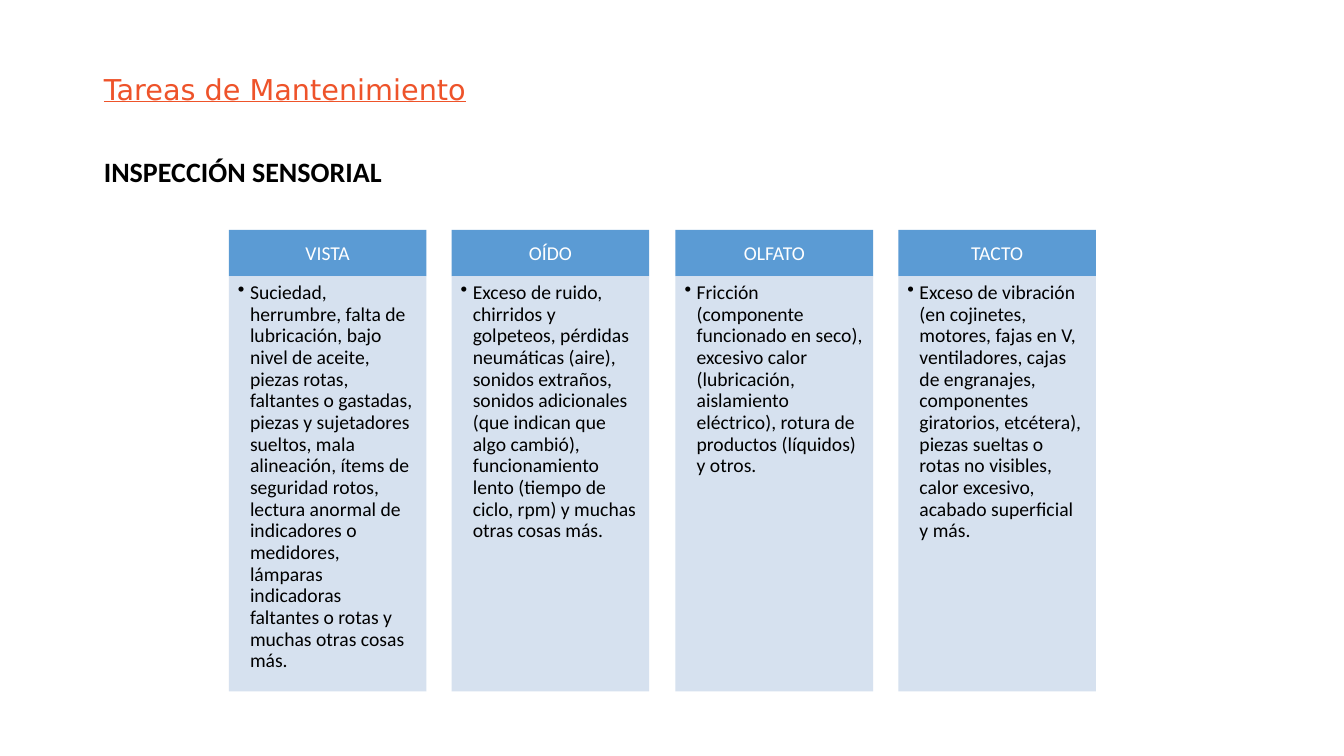
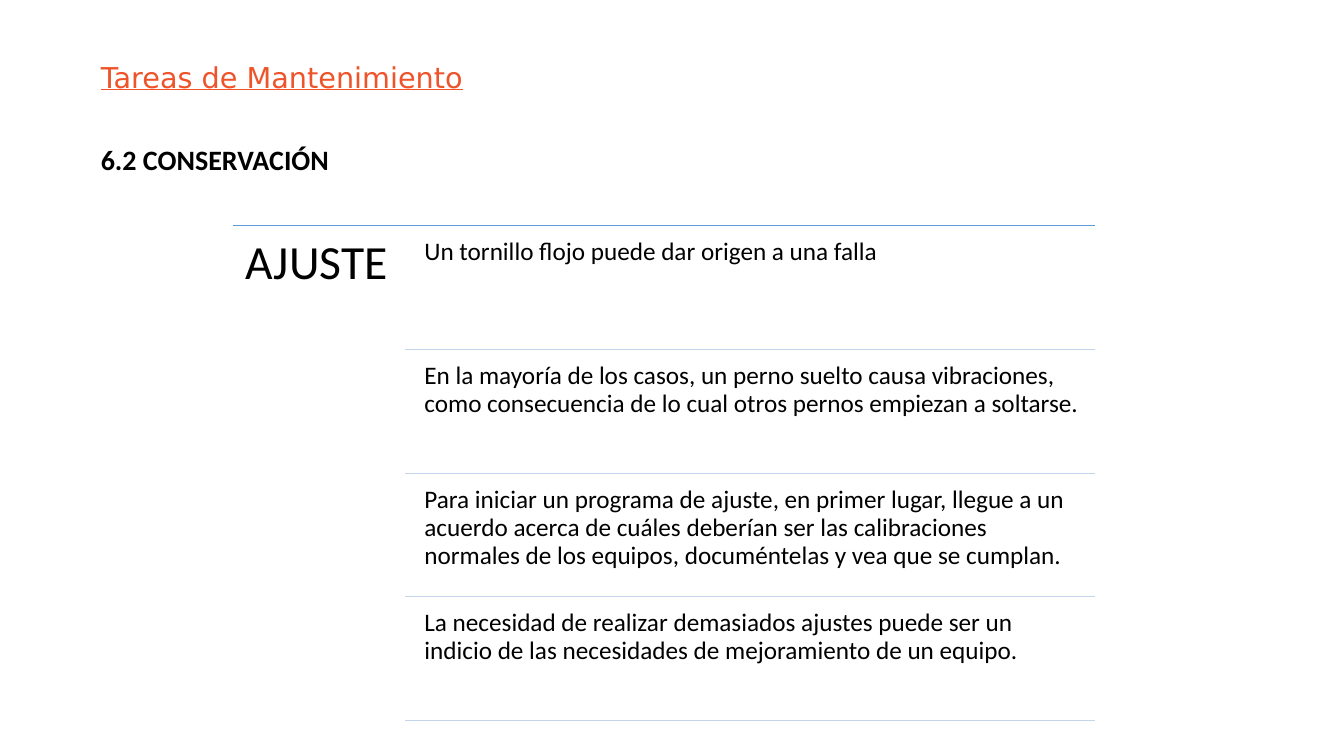
from pptx import Presentation
from pptx.dml.color import RGBColor
from pptx.enum.shapes import MSO_CONNECTOR, MSO_SHAPE
from pptx.enum.text import MSO_ANCHOR, MSO_AUTO_SIZE, PP_ALIGN
from pptx.oxml.ns import qn
from pptx.util import Pt
from lxml import etree

PX = 9144  # EMU per px, 100 px to the inch

ORANGE = RGBColor(0xEE, 0x53, 0x2A)
BLUE = RGBColor(0x5B, 0x9B, 0xD4)
PALE_BLUE = RGBColor(0xD2, 0xDE, 0xEE)
RULE_BLUE = RGBColor(0xC4, 0xD4, 0xEB)
BLACK = RGBColor(0, 0, 0)
WHITE = RGBColor(255, 255, 255)


def write(box, text, size, color=BLACK, name="Calibri", bold=False,
          top=1, right=0, align=PP_ALIGN.LEFT, anchor=MSO_ANCHOR.TOP):
    """Fill a shape with one styled paragraph and return the paragraph."""
    frame = box.text_frame
    frame.text = text
    frame.word_wrap = True
    frame.auto_size = MSO_AUTO_SIZE.NONE
    frame.vertical_anchor = anchor
    frame.margin_left = frame.margin_bottom = 0
    frame.margin_top, frame.margin_right = top * PX, right * PX
    para = frame.paragraphs[0]
    para.alignment = align
    para.space_before = Pt(0)
    for span in para.runs:
        span.font.size = Pt(size)
        span.font.name = name
        span.font.bold = bold
        span.font.color.rgb = color
    return para


def add_page(left, top, heading):
    """Add a page with the shared title and its own heading below."""
    page = deck.slides.add_slide(deck.slide_layouts[5])
    title = page.shapes.title
    title.left, title.top = left * PX, top * PX
    title.width, title.height = 416 * PX, 37 * PX
    para = write(title, "Tareas de Mantenimiento", 20.5, ORANGE, "DejaVu Sans")
    para.runs[0].font.underline = True
    box = page.shapes.add_textbox(left * PX, (top + 82) * PX, 400 * PX, 36 * PX)
    write(box, heading, 20, bold=True)
    return page


deck = Presentation()
deck.slide_width, deck.slide_height = 1333 * PX, 750 * PX

# Page 1: one card for each sense
page = add_page(103, 70, "INSPECCIÓN SENSORIAL")
senses = [
    ("VISTA", "Suciedad,\vherrumbre, falta de lubricación, bajo nivel de aceite,\v"
     "piezas rotas,\vfaltantes o gastadas, piezas y sujetadores sueltos, mala "
     "alineación, ítems de seguridad rotos, lectura anormal de indicadores o "
     "medidores,\vlámparas\vindicadoras\vfaltantes o rotas y muchas otras cosas más."),
    ("OÍDO", "Exceso de ruido, chirridos y\vgolpeteos, pérdidas neumáticas (aire), "
     "sonidos extraños, sonidos adicionales (que indican que\valgo cambió), "
     "funcionamiento lento (tiempo de\vciclo, rpm) y muchas otras cosas más."),
    ("OLFATO", "Fricción\v(componente funcionado en seco), excesivo calor "
     "(lubricación, aislamiento\veléctrico), rotura de productos (líquidos)\vy otros."),
    ("TACTO", "Exceso de vibración (en cojinetes,\vmotores, fajas en V, "
     "ventiladores, cajas\vde engranajes, componentes giratorios, etcétera), "
     "piezas sueltas o\vrotas no visibles,\vcalor excesivo, acabado superficial\vy más."),
]
for index, (sense, signs) in enumerate(senses):
    left = 227 + round(index * 221.4)
    header = page.shapes.add_shape(
        MSO_SHAPE.RECTANGLE, left * PX, 228 * PX, 196 * PX, 46 * PX)
    card = page.shapes.add_shape(
        MSO_SHAPE.RECTANGLE, left * PX, 274 * PX, 196 * PX, 412 * PX)
    for shape, color in ((header, BLUE), (card, PALE_BLUE)):
        shape.shadow.inherit = False
        shape.fill.solid()
        shape.fill.fore_color.rgb = color
        shape.line.fill.background()
    write(header, sense, 14, WHITE, top=0, align=PP_ALIGN.CENTER,
          anchor=MSO_ANCHOR.MIDDLE)
    para = write(card, signs, 14, top=6, right=10)
    para.line_spacing = 0.92

    # Hanging bullet
    properties = para._p.get_or_add_pPr()
    properties.set("marL", str(21 * PX))
    properties.set("indent", str(-12 * PX))
    etree.SubElement(properties, qn("a:buChar")).set("char", "•")

    # Slightly transparent card
    tint = card._element.spPr.find(qn("a:solidFill"))[0]
    etree.SubElement(tint, qn("a:alpha")).set("val", "90000")

# Page 2: ruled rows beside the topic
page = add_page(100, 58, "6.2 CONSERVACIÓN")
topic = page.shapes.add_textbox(244 * PX, 229 * PX, 160 * PX, 60 * PX)
write(topic, "AJUSTE", 34)

rows = [
    "Un tornillo flojo puede dar origen a una falla",
    "En la mayoría de los casos, un perno suelto causa vibraciones,\v"
    "como consecuencia de lo cual otros pernos empiezan a soltarse.",
    "Para iniciar un programa de ajuste, en primer lugar, llegue a un acuerdo "
    "acerca de cuáles deberían ser las calibraciones\v"
    "normales de los equipos, documéntelas y vea que se cumplan.",
    "La necesidad de realizar demasiados ajustes puede ser un\v"
    "indicio de las necesidades de mejoramiento de un equipo.",
]
rule_tops = [224 + round(index * 122.75) for index in range(len(rows) + 1)]
for index, top in enumerate(rule_tops):
    left, color = (231, BLUE) if index == 0 else (402, RULE_BLUE)
    rule = page.shapes.add_connector(
        MSO_CONNECTOR.STRAIGHT, left * PX, top * PX, 1086 * PX, top * PX)
    rule.line.color.rgb = color
    rule.line.width = Pt(1)
    etree.SubElement(rule._element.spPr, qn("a:effectLst"))

for top, text in zip(rule_tops, rows):
    box = page.shapes.add_textbox(421 * PX, (top + 11) * PX, 660 * PX, 100 * PX)
    write(box, text, 18).line_spacing = Pt(20)

deck.save("out.pptx")
